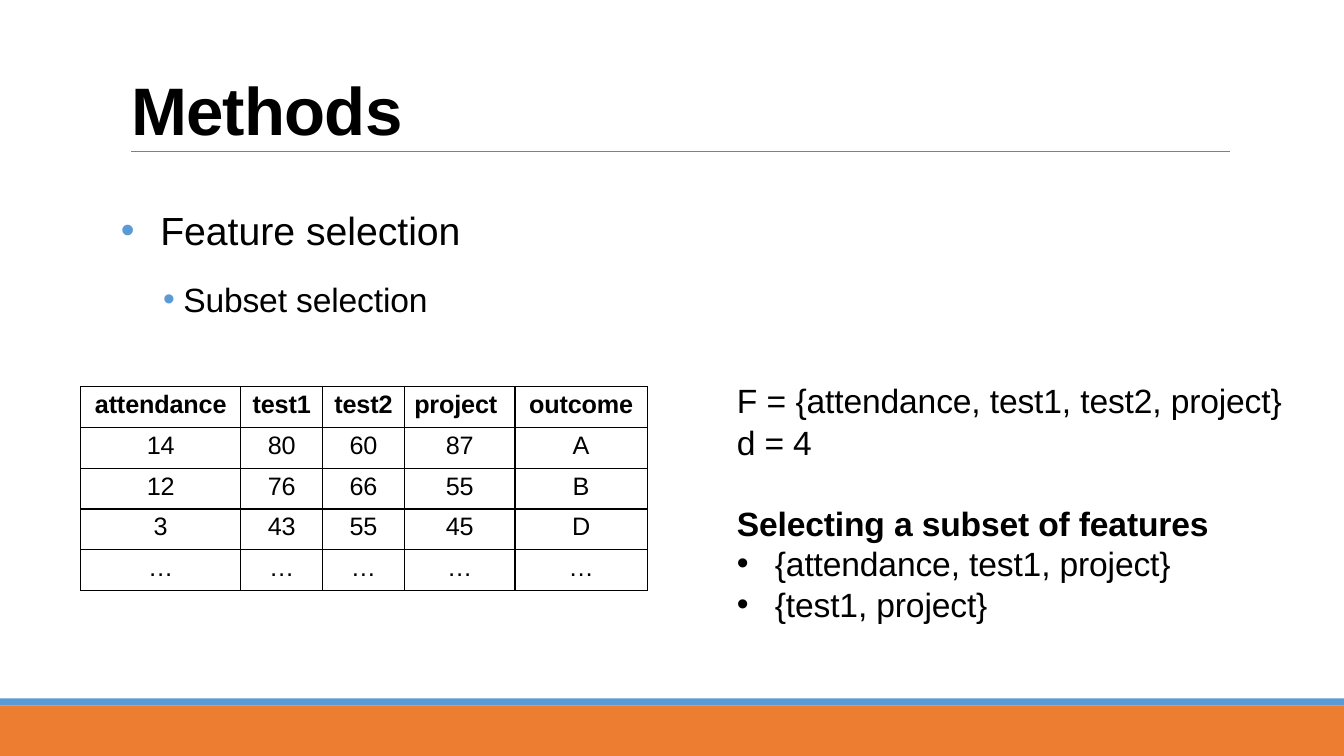
from dataclasses import dataclass

from lxml import etree
from pptx import Presentation
from pptx import util as u
from pptx.dml.color import RGBColor
from pptx.enum import shapes, text
from pptx.oxml import ns

Cm, Pt = u.Cm, u.Pt


@dataclass(frozen=True)
class Theme:
    font: str = "Arial"
    ink: RGBColor = RGBColor(0, 0, 0)
    accent: RGBColor = RGBColor(0x5B, 0x9B, 0xD5)
    base: RGBColor = RGBColor(0xED, 0x7D, 0x31)
    rule: RGBColor = RGBColor(0x80, 0x80, 0x80)
    title: int = 48
    topic: int = 28
    body: int = 24
    cell: int = 18
    outer: float = 0.75
    inner: float = 1


T = Theme()
SCORES = [
    ["attendance", "test1", "test2", "project", "outcome"],
    ["14", "80", "60", "87", "A"],
    ["12", "76", "66", "55", "B"],
    ["3", "43", "55", "45", "D"],
    ["…"] * 5,
]
COLUMNS = [4.04, 2.06, 2.06, 2.79, 3.33]


def sub(parent, tag, **attrs):
    return etree.SubElement(parent, ns.qn(tag), **attrs)


def add_run(p, words, size, bold=False, spacing=0):
    r = p.add_run()
    r.text = words
    f = r.font
    f.name, f.size, f.bold = T.font, Pt(size), bold
    f.color.rgb = T.ink
    if spacing:
        r._r.get_or_add_rPr().set("spc", str(spacing))


def format_paragraph(p, before=0, margin=0.03, hang=0, bullet=None):
    p.space_before = Pt(before)
    pPr = p._p.get_or_add_pPr()
    pPr.set("marL", str(Cm(margin)))
    pPr.set("indent", str(-Cm(hang)))
    if bullet is not None:
        sub(sub(pPr, "a:buClr"), "a:srgbClr", val=str(bullet))
        sub(pPr, "a:buFont", typeface=T.font)
        sub(pPr, "a:buChar", char="•")


def add_text(s, box, paragraphs):
    sp = s.shapes.add_textbox(*map(Cm, box))
    tf = sp.text_frame
    tf.word_wrap = True
    tf.auto_size = text.MSO_AUTO_SIZE.SHAPE_TO_FIT_TEXT
    tf.margin_left = tf.margin_right = tf.margin_bottom = 0
    tf.margin_top = Cm(0.03)
    for i, (layout, runs) in enumerate(paragraphs):
        p = tf.add_paragraph() if i else tf.paragraphs[0]
        format_paragraph(p, **layout)
        for run in runs:
            add_run(p, *run)


def add_footer(s, left, top, width, height):
    stripe = 0.18
    for y, h, color in ((top + stripe, height - stripe, T.base), (top, stripe, T.accent)):
        sp = s.shapes.add_shape(shapes.MSO_SHAPE.RECTANGLE, Cm(left), Cm(y), Cm(width), Cm(h))
        sp.shadow.inherit = False
        sp.fill.solid()
        sp.fill.fore_color.rgb = color
        sp.line.fill.background()


def add_title(s, left, top, width, height):
    bottom = Cm(top + height)
    rule = s.shapes.add_connector(
        shapes.MSO_CONNECTOR.STRAIGHT, Cm(left + 0.03), bottom, Cm(left + width), bottom)
    rule.line.color.rgb = T.rule
    rule.line.width = Pt(0.48)
    sub(rule._element.spPr, "a:effectLst")
    add_text(s, (left, top, width, height),
             [({"before": 1}, [("Methods", T.title, True, -60)])])


def add_topics(s, *box):
    add_text(s, box, [
        ({"before": 1, "margin": 1.02, "hang": 0.99, "bullet": T.accent},
         [("Feature selection", T.topic)]),
        ({"before": 18.1, "margin": 1.6, "hang": 0.51, "bullet": T.accent},
         [("Subset selection", T.body, False, -10)]),
    ])


def add_border(cell, side, width):
    ln = sub(cell._tc.get_or_add_tcPr(), f"a:ln{side}", w=str(Pt(width)))
    sub(sub(ln, "a:solidFill"), "a:srgbClr", val=str(T.ink))


def add_scores(s, left, top, width, height):
    last_row, last_col = len(SCORES) - 1, len(COLUMNS) - 1
    table = s.shapes.add_table(
        len(SCORES), len(COLUMNS), Cm(left), Cm(top), Cm(width), Cm(height)).table
    table.first_row = table.horz_banding = False
    for column, share in zip(table.columns, COLUMNS):
        column.width = Cm(width * share / sum(COLUMNS))
    for i, values in enumerate(SCORES):
        table.rows[i].height = Cm(height / len(SCORES))
        for j, value in enumerate(values):
            cell = table.cell(i, j)
            cell.margin_left = cell.margin_right = cell.margin_bottom = 0
            cell.margin_top = Cm(0.1)
            edges = {"L": j == 0, "R": j == last_col, "T": i == 0, "B": i == last_row}
            for side, outside in edges.items():
                add_border(cell, side, T.outer if outside else T.inner)
            cell.fill.background()
            p = cell.text_frame.paragraphs[0]
            if value == "project":
                format_paragraph(p, 2.9, 0.25)
            else:
                format_paragraph(p, 3.1 if i else 2.9, 0)
                p.alignment = text.PP_ALIGN.CENTER
            add_run(p, value, T.cell, i == 0, -10 if j < last_col or i == 0 else 0)


def add_subsets(s, *box):
    item = {"margin": 0.99, "hang": 0.96, "bullet": T.ink}
    add_text(s, box, [
        ({"before": 1}, [("F = ", T.body),
                         ("{attendance, test1, test2, project}", T.body, False, -10)]),
        ({"before": 1}, [("d = 4", T.body, False, -10)]),
        ({"before": 29}, [("Selecting a subset of features", T.body, True, -10)]),
        (item, [("{attendance, test1, project}", T.body, False, -10)]),
        (item, [("{test1, project}", T.body, False, -10)]),
    ])


def main():
    prs = Presentation()
    prs.slide_width, prs.slide_height = Cm(33.87), Cm(19.05)
    s = prs.slides.add_slide(prs.slide_layouts[6])
    add_footer(s, 0, 17.6, 33.87, 1.45)
    add_title(s, 3.28, 1.7, 27.71, 2.11)
    add_topics(s, 3.02, 5.18, 8.66, 2.92)
    add_scores(s, 2.03, 9.75, 14.28, 5.13)
    add_subsets(s, 18.54, 9.55, 13.92, 6.27)
    prs.save("out.pptx")


if __name__ == "__main__":
    main()
